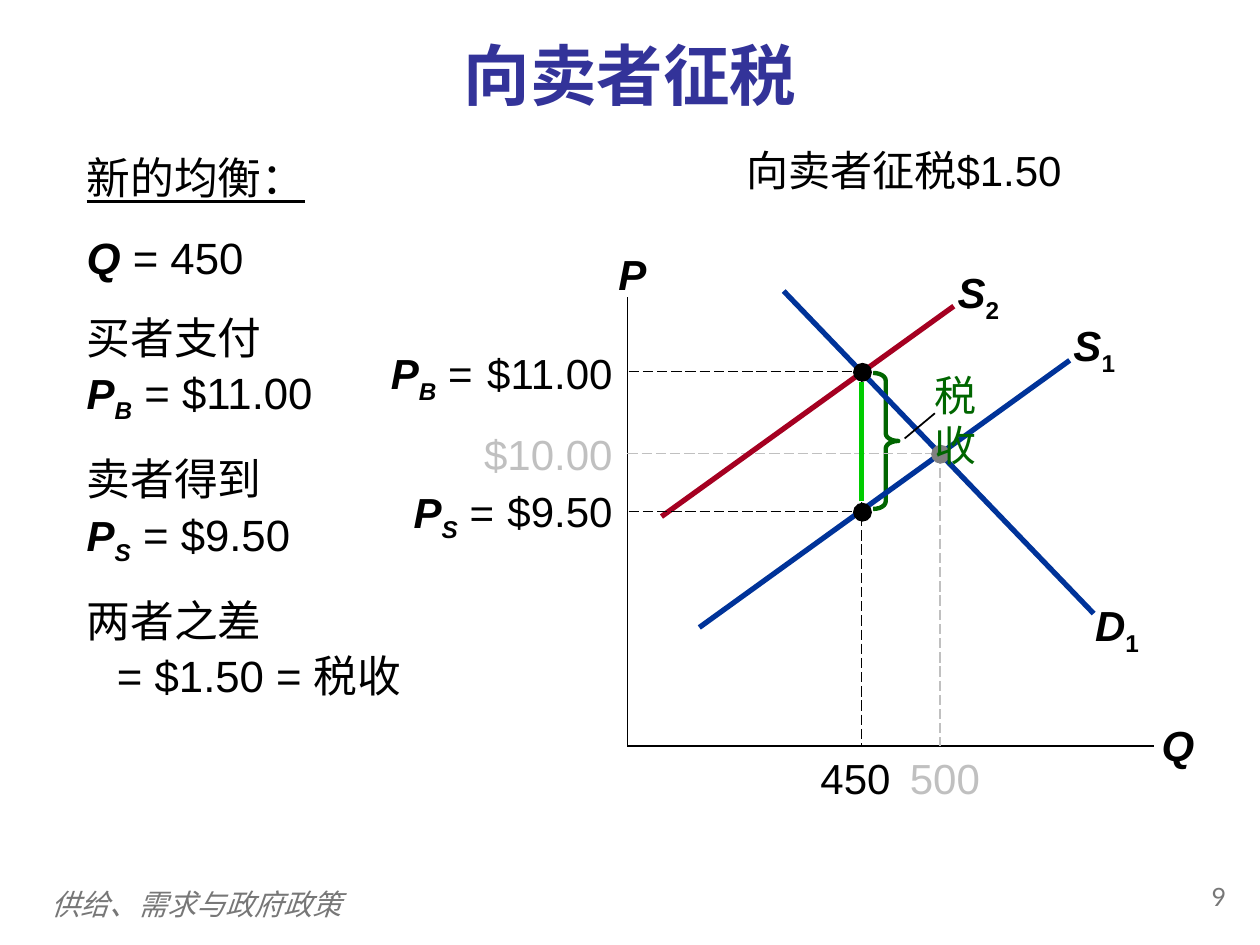
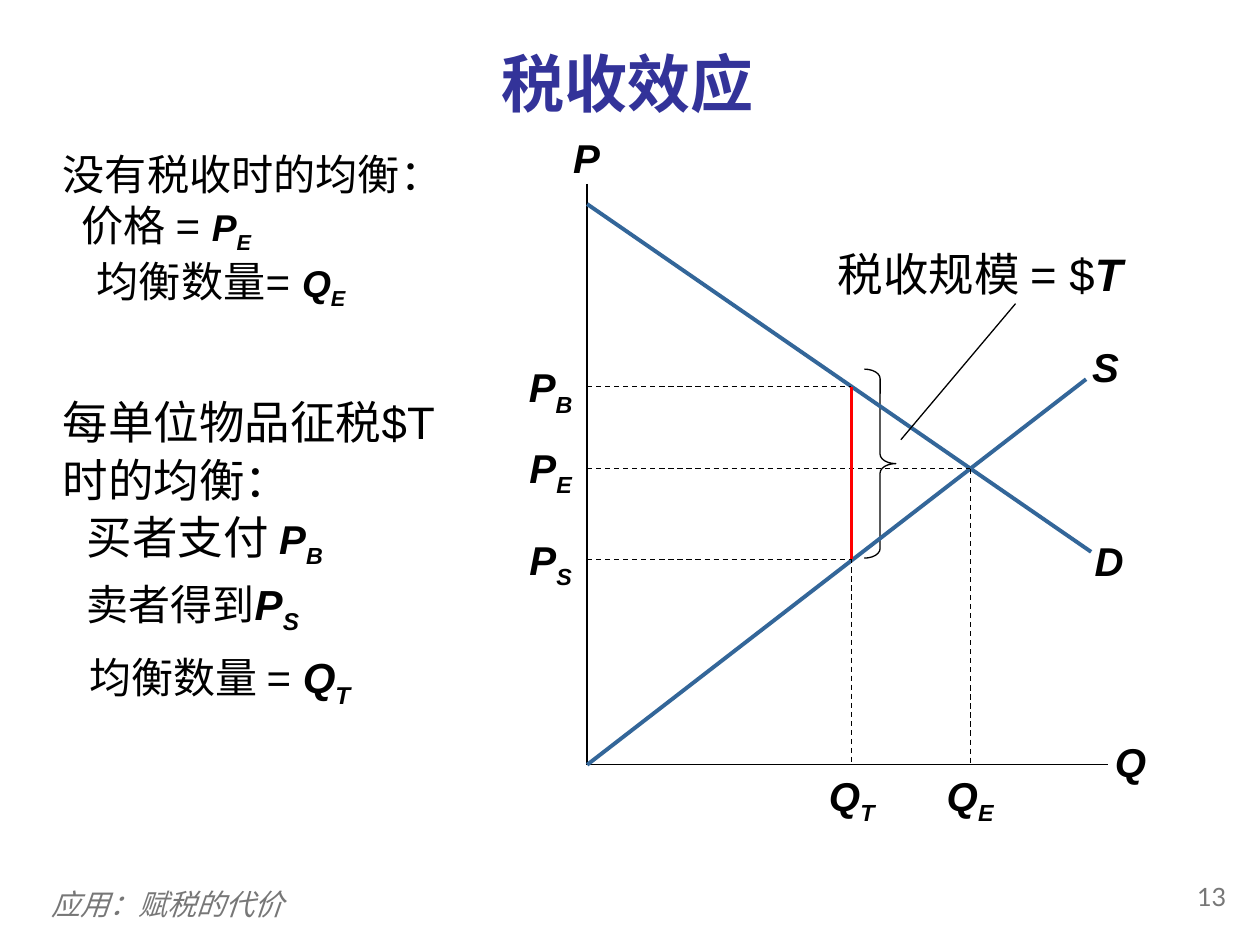
"""Two slides on how a tax on sellers shifts the market equilibrium."""
from lxml import etree
from pptx import Presentation
from pptx.dml.color import RGBColor
from pptx.enum.dml import MSO_LINE
from pptx.enum.shapes import MSO_CONNECTOR, MSO_SHAPE
from pptx.enum.text import MSO_ANCHOR, PP_ALIGN
from pptx.oxml.ns import qn
from pptx.util import Inches, Pt

LEFT, CENTER, RIGHT = PP_ALIGN.LEFT, PP_ALIGN.CENTER, PP_ALIGN.RIGHT
TOP, MIDDLE = MSO_ANCHOR.TOP, MSO_ANCHOR.MIDDLE
DASH, LONG_DASH = MSO_LINE.DASH, MSO_LINE.LONG_DASH
STRAIGHT = MSO_CONNECTOR.STRAIGHT
BRACE, OVAL = MSO_SHAPE.RIGHT_BRACE, MSO_SHAPE.OVAL

BLACK = RGBColor(0x00, 0x00, 0x00)
TITLE = RGBColor(0x33, 0x33, 0x99)
FOOTER = RGBColor(0x77, 0x77, 0x77)
NAVY = RGBColor(0x00, 0x33, 0x99)
CRIMSON = RGBColor(0xA5, 0x00, 0x21)
FADED = RGBColor(0xC0, 0xC0, 0xC0)
GREY = RGBColor(0x80, 0x80, 0x80)
LIME = RGBColor(0x00, 0xCC, 0x00)
GREEN = RGBColor(0x00, 0x66, 0x00)
STEEL = RGBColor(0x33, 0x66, 0x99)
RED = RGBColor(0xFF, 0x00, 0x00)


def text(s, box, *paras, size=24, color=BLACK, font="Arial", align=LEFT, anchor=TOP,
         style="", spacing=None, before=(), indent=(), insets=(0.1, 0.05, 0.1, 0.05)):
    sp = s.shapes.add_textbox(*map(Inches, box))
    tf = sp.text_frame
    tf.word_wrap = True
    tf.vertical_anchor = anchor
    tf.margin_left, tf.margin_top, tf.margin_right, tf.margin_bottom = map(Inches, insets)
    for i, runs in enumerate(paras):
        p = tf.add_paragraph() if i else tf.paragraphs[0]
        p.alignment = align
        if spacing:
            p.line_spacing = spacing
        if before:
            p.space_before = Pt(before[i])
        if indent:
            p._p.get_or_add_pPr().set("marL", str(Inches(indent[i])))
        for run in [runs] if isinstance(runs, str) else runs:
            words, marks, points = run if isinstance(run, tuple) else (run, style, size)
            r = p.add_run()
            r.text = words
            r.font.name, r.font.size, r.font.color.rgb = font, Pt(points), color
            r.font.bold, r.font.italic, r.font.underline = (m in marks for m in "biu")
            if "-" in marks:
                r._r.get_or_add_rPr().set("baseline", "-25000")
    return sp


def line(s, x1, y1, x2, y2, color=BLACK, width=0.75, dash=None):
    c = s.shapes.add_connector(STRAIGHT, *map(Inches, (x1, y1, x2, y2)))
    c.line.color.rgb, c.line.width = color, Pt(width)
    if dash:
        c.line.dash_style = dash
    etree.SubElement(c._element.spPr, qn("a:effectLst"))
    return c


prs = Presentation()
prs.slide_width, prs.slide_height = Inches(10), Inches(7.5)

for title, box, size, footer, number in (
    ("向卖者征税", (0, 0.23, 10, 0.71), 38, "供给、需求与政府政策", "9"),
    ("税收效应", (0.38, 0.28, 9.2, 0.74), 36, "应用：赋税的代价", "13"),
):
    s = prs.slides.add_slide(prs.slide_layouts[6])
    text(s, (0.31, 6.99, 8.02, 0.4), footer, size=16.6, color=FOOTER, style="i",
         anchor=MIDDLE, spacing=0.9)
    text(s, (9.08, 6.97, 0.75, 0.4), number, size=14.4, color=FOOTER, font="Lato",
         align=RIGHT, spacing=0.9)
    text(s, box, title, size=size, color=TITLE, font="Cambria", style="b",
         align=CENTER, anchor=MIDDLE)

seller_tax, tax_effect = prs.slides

for s, x, y, w, h, color, width in (
    (seller_tax, 6.93, 2.96, 0.2, 1.08, GREEN, 2.5),
    (tax_effect, 6.86, 2.93, 0.25, 1.5, BLACK, 0.75),
):
    sp = s.shapes.add_shape(BRACE, *map(Inches, (x, y, w, h)))
    sp.shadow.inherit = False
    sp.fill.background()
    sp.line.color.rgb, sp.line.width = color, Pt(width)
    sp.adjustments[0] = 0.3

s = seller_tax
line(s, 4.98, 2.36, 4.98, 5.92, width=1)
line(s, 4.98, 5.92, 9.16, 5.92, width=1)
line(s, 5.55, 4.98, 8.49, 2.86, NAVY, 3)
line(s, 6.22, 2.31, 8.68, 4.87, NAVY, 3)
line(s, 4.98, 3.6, 7.46, 3.6, FADED, dash=LONG_DASH)
line(s, 7.46, 3.6, 7.46, 5.92, FADED, dash=LONG_DASH)
line(s, 5.25, 4.1, 7.57, 2.43, CRIMSON, 3)
line(s, 6.84, 2.97, 6.84, 5.91, dash=LONG_DASH)
for y in (2.95, 4.06):
    line(s, 4.99, y, 6.85, y, dash=LONG_DASH)
for x, y, color in ((7.46, 3.6, GREY), (6.84, 2.95, BLACK), (6.84, 4.06, BLACK)):
    sp = s.shapes.add_shape(OVAL, *map(Inches, (x - 0.07, y - 0.07, 0.15, 0.15)))
    sp.shadow.inherit = False
    sp.fill.solid()
    sp.fill.fore_color.rgb = color
    sp.line.fill.background()
line(s, 6.84, 3.98, 6.84, 3.03, LIME, 3)

for x, y, name in ((4.77, 1.92, "P"), (9.1, 5.66, "Q")):
    text(s, (x, y, 0.5, 0.5), name, style="bi", align=CENTER)
for x, y, curve, index in ((8.35, 2.49, "S", "1"), (8.53, 4.71, "D", "1"), (7.43, 2.07, "S", "2")):
    text(s, (x, y, 0.67, 0.56), [(curve, "bi", 24), (index, "b-", 24)], align=CENTER)
for y, price, color in ((2.76, "$11.00", BLACK), (3.4, "$10.00", FADED), (3.85, "$9.50", BLACK)):
    text(s, (3.68, y, 1.28, 0.4), price, color=color, align=RIGHT, insets=(0, 0, 0.1, 0))
for x, quantity, color in ((6.47, "450", BLACK), (7.18, "500", FADED)):
    text(s, (x, 5.97, 0.64, 0.4), quantity, color=color, align=CENTER, insets=(0, 0, 0, 0))
for x, y, index in ((2.97, 2.71, "B"), (3.14, 3.81, "S")):
    text(s, (x, y, 0.88, 0.56), [("P", "bi", 24), (index, "bi-", 24), " ="], align=RIGHT)
text(s, (7.08, 2.88, 0.77, 0.9), "税收", color=GREEN, align=RIGHT)
line(s, 7.18, 3.48, 7.42, 3.28, width=1)
text(s, (5.27, 1.1, 3.81, 0.5), "向卖者征税$1.50", align=CENTER)
text(s, (0.59, 1.13, 2.87, 5.32),
     [("新的均衡：", "u", 25)],
     [("Q", "bi", 25), " = 450"],
     "买者支付",
     [("P", "bi", 24), ("B", "bi-", 24), " = $11.00"],
     "卖者得到",
     [("P", "bi", 24), ("S", "bi-", 24), " = $9.50"],
     "两者之差",
     "= $1.50 = 税收",
     size=25, spacing=1.05, before=(0, 14, 14, 0, 14, 0, 14, 0),
     indent=(0, 0, 0, 0, 0, 0, 0, 0.24))

s = tax_effect
line(s, 4.66, 1.46, 4.66, 6.07)
line(s, 4.66, 6.07, 8.79, 6.07)
line(s, 4.66, 1.62, 8.66, 4.38, STEEL, 2.25)
line(s, 4.66, 6.07, 8.62, 3.01, STEEL, 2.25)
for x, y, name in ((4.45, 1.01, "P"), (8.75, 5.8, "Q"), (8.59, 4.21, "D"), (8.57, 2.67, "S")):
    text(s, (x, y, 0.4, 0.49), name, size=23, style="bi", align=CENTER)
for x, y, index in ((6.76, 3.07, "T"), (7.7, 3.72, "E")):
    sp = text(s, (x - 0.32, 6.07, 0.64, 0.54), [("Q", "bi", 23), (index, "bi-", 23)], align=CENTER)
    line(s, x, y, x, 6.07, dash=DASH).end_connect(sp, 0)
for y, x_end, label_y, index in ((3.07, 6.75, 2.83, "B"), (3.72, 7.7, 3.47, "E"), (4.44, 6.75, 4.2, "S")):
    line(s, 4.66, y, x_end, y, dash=DASH)
    text(s, (4.08, label_y, 0.58, 0.54), [("P", "bi", 23), (index, "bi-", 23)], align=CENTER)
line(s, 6.76, 3.07, 6.76, 4.44, RED, 1.5)
text(s, (6.55, 1.9, 2.91, 0.54), ["税收规模 = $", ("T", "bi", 26)], size=26)
line(s, 7.15, 3.49, 8.06, 2.41)

text(s, (0.4, 1.13, 3.3, 1.67),
     "没有税收时的均衡：",
     ["价格 = ", ("P", "bi", 21.3), ("E", "bi-", 21.3)],
     ["均衡数量= ", ("Q", "bi", 21.3), ("E", "bi-", 21.3)],
     size=24.1, spacing=1.0, indent=(0, 0.15, 0.27))
text(s, (0.4, 3.06, 3.2, 1.16), "每单位物品征税$T时的均衡：", size=26, spacing=1.05)
for x, y, words, size, symbol, index, symbol_size, spacing in (
    (0.59, 3.99, "买者支付 ", 26, "P", "B", 23, 0.95),
    (0.59, 4.54, "卖者得到", 24, "P", "S", 24, 0.95),
    (0.61, 5.1, "均衡数量 = ", 24, "Q", "T", 24, 1.05),
):
    text(s, (x, y, 3.04, 0.57),
         [words, (symbol, "bi", symbol_size), (index, "bi-", symbol_size)],
         size=size, spacing=spacing)

prs.save("out.pptx")
